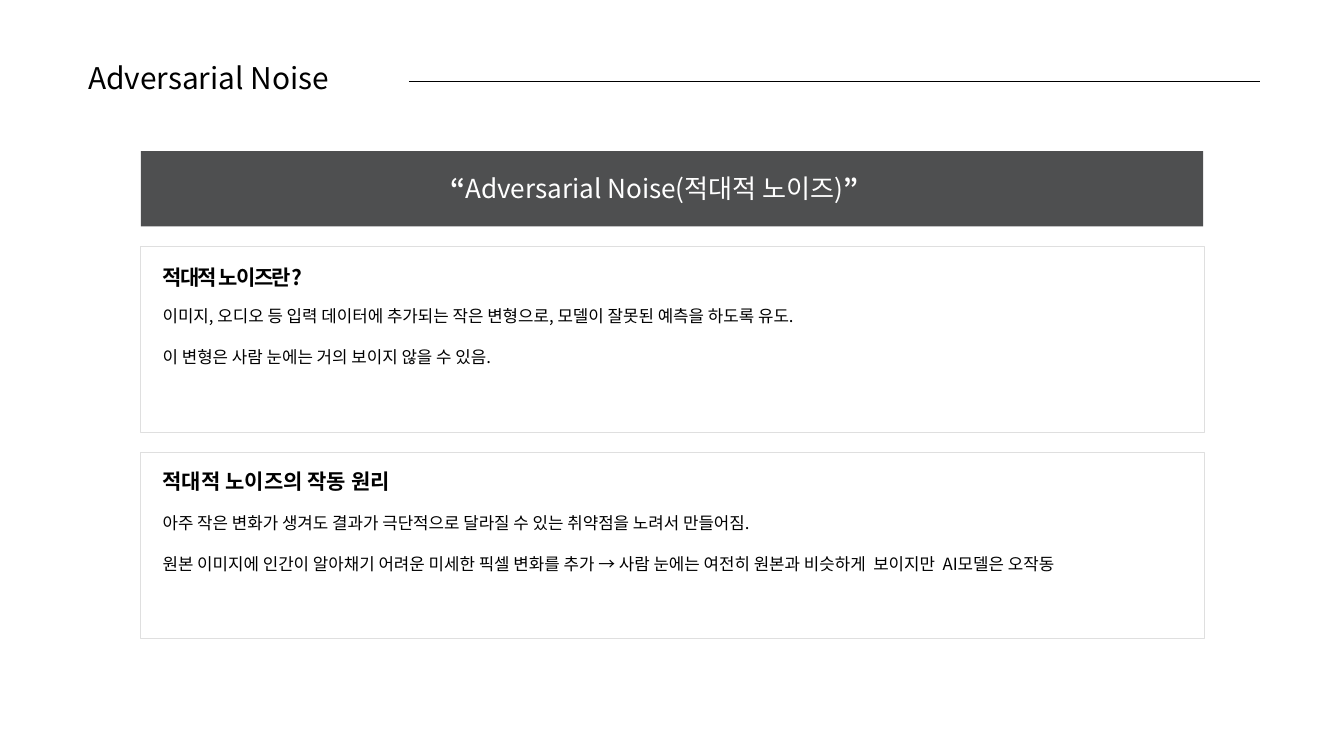
from dataclasses import dataclass

from lxml import etree
from pptx import Presentation
from pptx.dml.color import RGBColor
from pptx.enum.shapes import MSO_CONNECTOR, MSO_SHAPE
from pptx.enum.text import PP_ALIGN
from pptx.oxml.ns import qn
from pptx.util import Pt

RECTANGLE = MSO_SHAPE.RECTANGLE
STRAIGHT = MSO_CONNECTOR.STRAIGHT
LEFT, CENTER = PP_ALIGN.LEFT, PP_ALIGN.CENTER

FONT = "Noto Sans CJK KR"
COLORS = {
    "text": "000000",
    "banner": "4E4F50",
    "panel": "FFFFFF",
    "border": "DFDFDF",
    "banner_text": "FFFFFF",
}
TEXT_LEFT = 174.2
PANEL_TOP, PANEL_HEIGHT, PANEL_PITCH = 263.5, 199.5, 221


@dataclass(frozen=True)
class Box:
    left: float
    top: float
    width: float
    height: float

    def lengths(self) -> tuple:
        return Pt(self.left), Pt(self.top), Pt(self.width), Pt(self.height)


@dataclass(frozen=True)
class Style:
    size: float
    line_height: float
    bold: bool = False
    tracking: float = 0
    color: str = "text"
    gap: float = 0
    align: int = LEFT


@dataclass(frozen=True)
class Panel:
    heading: str
    heading_box: Box
    heading_style: Style
    lines: tuple
    body_box: Box


TITLE = Style(32, 40)
BANNER = Style(28, 32.1, color="banner_text", align=CENTER)
QUOTE = Style(27.9, 32.1, bold=True, tracking=-2, color="banner_text")
BODY = Style(18, 22, gap=22)

PANELS = (
    Panel(
        "적대적 노이즈란?",
        Box(TEXT_LEFT, 279.4, 283, 31),
        Style(22.5, 31.5, bold=True, tracking=-1.8),
        (
            "이미지, 오디오 등 입력 데이터에 추가되는 작은 변형으로, 모델이 잘못된 예측을 하도록 유도.",
            "이 변형은 사람 눈에는 거의 보이지 않을 수 있음.",
        ),
        Box(TEXT_LEFT, 326.9, 948, 85),
    ),
    Panel(
        "적대적 노이즈의 작동 원리",
        Box(TEXT_LEFT, 501.1, 283, 27.4),
        Style(22.5, 28, bold=True),
        (
            "아주 작은 변화가 생겨도 결과가 극단적으로 달라질 수 있는 취약점을 노려서 만들어짐.",
            "원본 이미지에 인간이 알아채기 어려운 미세한 픽셀 변화를 추가 → 사람 눈에는 여전히 "
            "원본과 비슷하게  보이지만  AI모델은 오작동",
        ),
        Box(TEXT_LEFT, 548.6, 1110, 106.6),
    ),
)


def rgb(name: str) -> RGBColor:
    return RGBColor.from_string(COLORS[name])


def format_run(run, style: Style) -> None:
    run.font.size = Pt(style.size)
    run.font.bold = style.bold
    run.font.color.rgb = rgb(style.color)
    run.font.name = FONT
    properties = run.font._element
    # East Asian typeface and letter spacing
    etree.SubElement(properties, qn("a:ea")).set("typeface", FONT)
    if style.tracking:
        properties.set("spc", str(round(style.tracking * 100)))


def add_text(slide, box: Box, lines: tuple, style: Style):
    text_frame = slide.shapes.add_textbox(*box.lengths()).text_frame
    text_frame.margin_left = text_frame.margin_right = 0
    text_frame.margin_top = text_frame.margin_bottom = 0
    text_frame.word_wrap = True
    text_frame.text = "\n".join(lines)
    for index, paragraph in enumerate(text_frame.paragraphs):
        paragraph.alignment = style.align
        paragraph.line_spacing = Pt(style.line_height)
        if index:
            paragraph.space_before = Pt(style.gap)
        for run in paragraph.runs:
            format_run(run, style)
    return text_frame


def add_rectangle(slide, box: Box, fill: str, border: str = "") -> None:
    shape = slide.shapes.add_shape(RECTANGLE, *box.lengths())
    shape.shadow.inherit = False
    shape.fill.solid()
    shape.fill.fore_color.rgb = rgb(fill)
    if border:
        shape.line.color.rgb = rgb(border)
        shape.line.width = Pt(0.75)
    else:
        shape.line.fill.background()


def add_rule(slide, left: float, right: float, top: float) -> None:
    connector = slide.shapes.add_connector(STRAIGHT, Pt(left), Pt(top), Pt(right), Pt(top))
    connector.line.color.rgb = rgb("text")
    connector.line.width = Pt(0.75)
    etree.SubElement(connector._element.spPr, qn("a:effectLst"))


def add_banner(slide) -> None:
    add_rectangle(slide, Box(151, 162, 1138, 80.5), "banner")
    text_frame = add_text(slide, Box(306, 185.8, 790, 32.4), ("“",), QUOTE)
    paragraph = text_frame.paragraphs[0]
    paragraph.alignment = CENTER
    for text, style in (("Adversarial Noise(적대적 노이즈)", BANNER), ("”", QUOTE)):
        run = paragraph.add_run()
        run.text = text
        format_run(run, style)


def main() -> None:
    presentation = Presentation()
    presentation.slide_width, presentation.slide_height = Pt(1440), Pt(810)
    slide = presentation.slides.add_slide(presentation.slide_layouts[6])

    # Title with its rule
    add_text(slide, Box(94.3, 62.6, 294.5, 39), ("Adversarial Noise",), TITLE)
    add_rule(slide, 438, 1350, 87.1)

    # Topic banner
    add_banner(slide)

    # Explanation panels
    for index, panel in enumerate(PANELS):
        top = PANEL_TOP + index * PANEL_PITCH
        add_rectangle(slide, Box(150, top, 1140, PANEL_HEIGHT), "panel", "border")
        add_text(slide, panel.heading_box, (panel.heading,), panel.heading_style)
        add_text(slide, panel.body_box, panel.lines, BODY)

    presentation.save("out.pptx")


if __name__ == "__main__":
    main()
